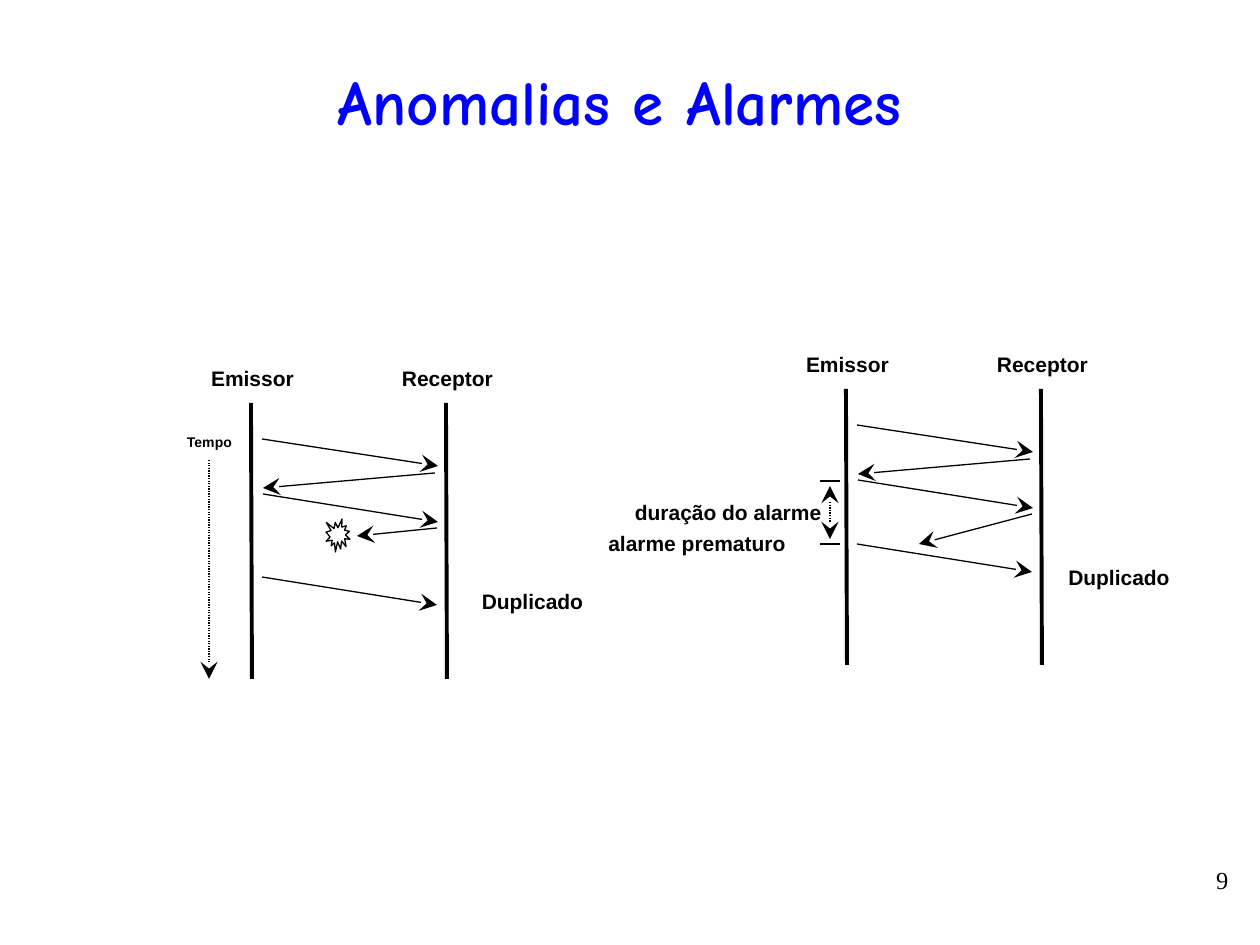
from lxml.etree import SubElement
from pptx import Presentation
from pptx.dml.color import RGBColor
from pptx.enum.dml import MSO_LINE
from pptx.enum.shapes import MSO_CONNECTOR, MSO_SHAPE
from pptx.enum.text import MSO_ANCHOR, PP_ALIGN
from pptx.oxml.ns import qn
from pptx.util import Pt

PX = 914400 // 126
BLACK = RGBColor(0, 0, 0)
WHITE = RGBColor(255, 255, 255)
BLUE = RGBColor(0, 0, 255)
LIFELINE_GAP = 195


def px(*lengths):
    """Turn whole pixels into EMU."""
    return [length * PX for length in lengths]


def style_text(shape, text, size, font, color, align, bold, anchor, inset):
    """Write one formatted paragraph into a shape."""
    frame = shape.text_frame
    frame.word_wrap = True
    frame.vertical_anchor = anchor
    frame.margin_left = frame.margin_right = Pt(7.2)
    frame.margin_top = frame.margin_bottom = Pt(inset)
    frame.text = text
    para = frame.paragraphs[0]
    para.alignment = align
    para.font.size = Pt(size)
    para.font.name = font
    para.font.bold = bold
    para.font.color.rgb = color


def add_title(page, text):
    """Place and format the title placeholder."""
    title = page.shapes.title
    title.left, title.top, title.width, title.height = px(42, 53, 1155, 94)
    style_text(title, text, 36, "Comic Neue", BLUE, PP_ALIGN.CENTER, True,
               MSO_ANCHOR.MIDDLE, 3.6)


def add_page_number(page, text):
    """Add the page number at the lower right."""
    box = page.shapes.add_textbox(*px(948, 859, 293, 66))
    style_text(box, text, 14, "Times New Roman", BLACK, PP_ALIGN.RIGHT, False,
               MSO_ANCHOR.TOP, 3.6)


def add_label(page, text, left, top, width, size=12, align=PP_ALIGN.CENTER):
    """Add a bold diagram label."""
    box = page.shapes.add_textbox(*px(left, top, width, 49))
    style_text(box, text, size, "Arial", BLACK, align, True, MSO_ANCHOR.MIDDLE, 7.2)


def add_line(page, start, end, width=0.75, dotted=False, ends=()):
    """Add a straight line with optional arrowheads."""
    line = page.shapes.add_connector(MSO_CONNECTOR.STRAIGHT, *px(*start, *end))
    line.line.color.rgb = BLACK
    line.line.width = Pt(width)
    if dotted:
        line.line.dash_style = MSO_LINE.ROUND_DOT
    properties = line.line._get_or_add_ln()
    for name in ends:
        SubElement(properties, qn(f"a:{name}"), type="stealth", w="lg", len="lg")
    SubElement(line._element.spPr, qn("a:effectLst"))


def add_burst(page, left, top, width, height):
    """Mark the point where a message is lost."""
    burst = page.shapes.add_shape(MSO_SHAPE.EXPLOSION1, *px(left, top, width, height))
    burst.shadow.inherit = False
    burst.fill.solid()
    burst.fill.fore_color.rgb = WHITE
    burst.line.color.rgb = BLACK
    burst.line.width = Pt(0.75)


def add_exchange(page, left, top, reply_end, resend_top, duplicate_top, duplicate_width):
    """Draw both lifelines, their messages and the duplicate label."""
    for index, name in enumerate(("Emissor", "Receptor")):
        x = left + index * LIFELINE_GAP
        add_label(page, name, x - 61, top - 49, 125)
        add_line(page, (x, top), (x + 1, top + 276), width=2.25)
    messages = [
        ((11, 36), (187, 63)),
        ((184, 70), (12, 85)),
        ((12, 91), (187, 119)),
        ((186, 125), reply_end),
        ((11, resend_top), (186, resend_top + 28)),
    ]
    for start, end in messages:
        add_line(page, (left + start[0], top + start[1]),
                 (left + end[0], top + end[1]), ends=("tailEnd",))
    add_label(page, "Duplicado", left + LIFELINE_GAP, top + duplicate_top, duplicate_width)


def add_time_axis(page):
    """Draw the dotted time axis."""
    add_label(page, "Tempo", 165, 417, 89, size=8)
    add_line(page, (209, 460), (209, 679), dotted=True, ends=("tailEnd",))


def add_alarm(page):
    """Mark the alarm duration beside the sender."""
    for y in (481, 544):
        add_line(page, (820, y), (840, y))
    add_line(page, (830, 486), (830, 539), dotted=True, ends=("headEnd", "tailEnd"))
    add_label(page, "duração do alarme", 583, 488, 251, align=PP_ALIGN.RIGHT)
    add_label(page, "alarme prematuro", 596, 519, 251, align=PP_ALIGN.LEFT)


def main():
    """Build and save the slide."""
    deck = Presentation()
    deck.slide_width, deck.slide_height = px(1260, 945)
    page = deck.slides.add_slide(deck.slide_layouts[5])
    add_title(page, "Anomalias e Alarmes")
    add_page_number(page, "9")
    add_exchange(page, 251, 403, (106, 133), 174, 174, 173)
    add_time_axis(page)
    add_burst(page, 326, 519, 24, 33)
    add_exchange(page, 846, 389, (73, 155), 155, 164, 156)
    add_alarm(page)
    deck.save("out.pptx")


if __name__ == "__main__":
    main()
